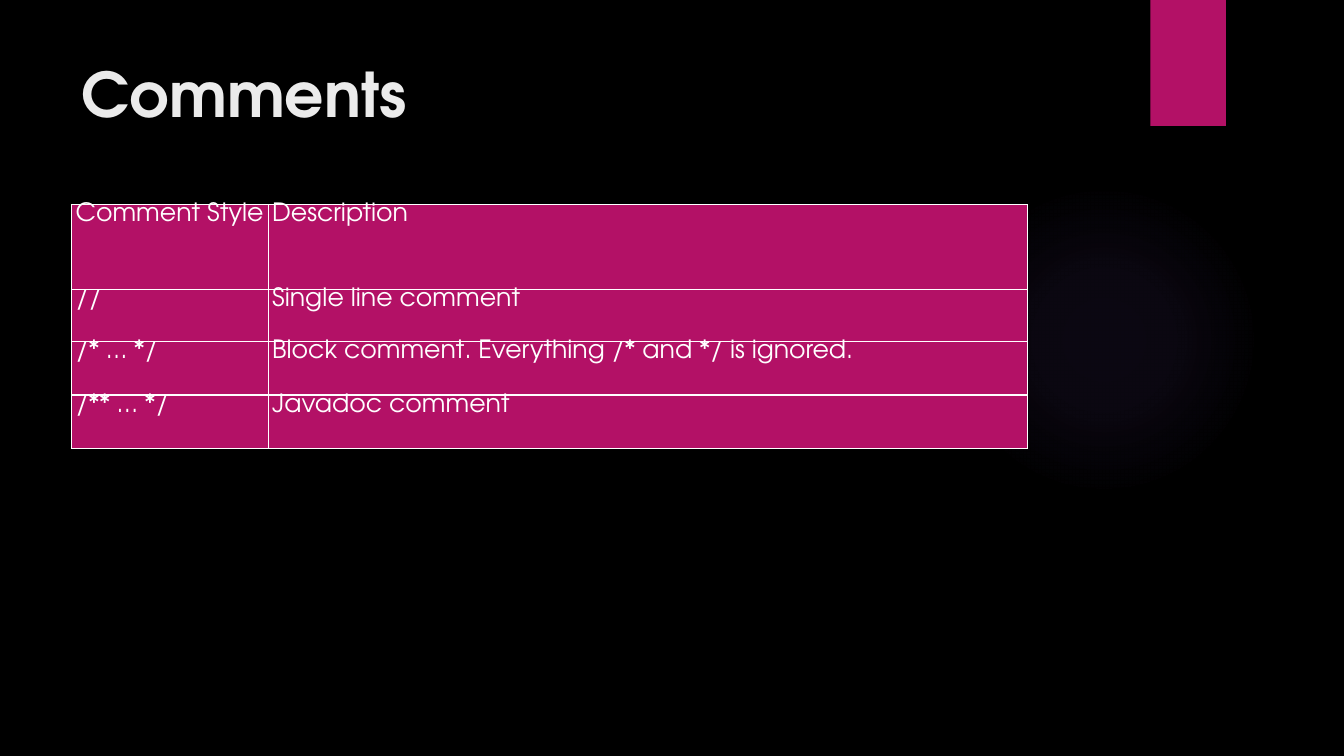
"""Build the slide on comment styles."""
from lxml.etree import SubElement as Sub
from pptx import Presentation
from pptx.dml.color import RGBColor as RGB
from pptx.enum.shapes import MSO_SHAPE as SHAPE
from pptx.enum.text import MSO_ANCHOR as ANCHOR, PP_ALIGN as ALIGN
from pptx.oxml.ns import qn
from pptx.util import Inches, Pt

TITLE = "Comments"
ROWS = [
    ("Comment Style", "Description"),
    ("//", "Single line comment"),
    ("/* … */", "Block comment. Everything /* and */ is ignored."),
    ("/** … */", "Javadoc comment"),
]
WIDTHS = [1.95, 7.53]
HEIGHTS = [0.84, 0.52, 0.53, 0.53]
LEFT, TOP = 0.71, 2.03
GLOW = [(0, 7), (36, 6), (69, 0)]
FONT = "TeX Gyre Adventor"
COLORS = {"back": "000000", "pink": "B31166", "glow": "9B6BF2",
          "head": "EBEBEB", "text": "FFFFFF"}


def color(name):
    return RGB.from_string(COLORS[name])


def paint(fill, name):
    fill.solid()
    fill.fore_color.rgb = color(name)


def write(frame, text, size=18, tint="text", bold=False, before=0, space=1.0):
    frame.word_wrap = True
    para = frame.paragraphs[0]
    para.alignment = ALIGN.LEFT
    para.space_before, para.line_spacing = Pt(before), space
    run = para.add_run()
    run.text = text
    font = run.font
    font.name, font.size, font.bold = FONT, Pt(size), bold
    font.color.rgb = color(tint)
    return para


def node(parent, tag, **attrs):
    return Sub(parent, qn("a:" + tag), {k: str(v) for k, v in attrs.items()})


def add_shape(slide, kind, *box):
    shape = slide.shapes.add_shape(kind, *map(Inches, box))
    shape.shadow.inherit = False
    shape.line.fill.background()
    paint(shape.fill, "pink")
    return shape


def add_glow(slide):
    props = add_shape(slide, SHAPE.OVAL, 9.41, 1.83, 3.08, 3.08).element.spPr
    grad = node(props, "gradFill", rotWithShape=1)
    stops = node(grad, "gsLst")
    for pos, alpha in GLOW:
        stop = node(stops, "gs", pos=pos * 1000)
        tint = node(stop, "srgbClr", val=COLORS["glow"])
        node(tint, "alpha", val=alpha * 1000)
    shade = node(grad, "path", path="circle")
    node(shade, "fillToRect", l=50000, t=50000, r=50000, b=50000)
    props.replace(props.find(qn("a:solidFill")), grad)


def add_tab(slide):
    tab = add_shape(slide, SHAPE.RECTANGLE, 11.41, 0, 0.75, 1.25)
    effects = tab.element.spPr.find(qn("a:effectLst"))
    shadow = node(effects, "outerShdw", blurRad=Pt(3), dist=Pt(2),
                  dir=90 * 60000, rotWithShape=0)
    node(node(shadow, "srgbClr", val=COLORS["back"]), "alpha", val=45000)


def add_title(slide):
    title = slide.shapes.title
    title.left, title.top = Inches(LEFT), Inches(0.5)
    title.width, title.height = Inches(10.29), Inches(1.53)
    title.text_frame.vertical_anchor = ANCHOR.TOP
    write(title.text_frame, TITLE, size=44, tint="head", bold=True)


def fill_cell(cell, text):
    cell.margin_left = cell.margin_right = 0
    cell.margin_top = cell.margin_bottom = 0
    cell.vertical_anchor = ANCHOR.TOP
    para = write(cell.text_frame, text, before=2, space=0.9)
    props = para._p.get_or_add_pPr()
    props.set("marL", str(Inches(0.04)))
    props.set("indent", "0")
    edges = cell._tc.get_or_add_tcPr()
    for side in "LRTB":
        line = node(edges, "ln" + side, w=Pt(1))
        node(node(line, "solidFill"), "srgbClr", val=COLORS["text"])
    paint(cell.fill, "pink")


def add_grid(slide):
    box = map(Inches, (LEFT, TOP, sum(WIDTHS), sum(HEIGHTS)))
    grid = slide.shapes.add_table(len(ROWS), len(WIDTHS), *box).table
    grid.first_row = grid.horz_banding = False
    for col, width in zip(grid.columns, WIDTHS):
        col.width = Inches(width)
    for row, height, texts in zip(grid.rows, HEIGHTS, ROWS):
        row.height = Inches(height)
        for cell, text in zip(row.cells, texts):
            fill_cell(cell, text)


def main():
    deck = Presentation()
    deck.slide_width, deck.slide_height = Inches(13.33), Inches(7.5)
    slide = deck.slides.add_slide(deck.slide_layouts[5])
    paint(slide.background.fill, "back")
    add_glow(slide)
    add_tab(slide)
    add_title(slide)
    add_grid(slide)
    deck.save("out.pptx")


if __name__ == "__main__":
    main()
